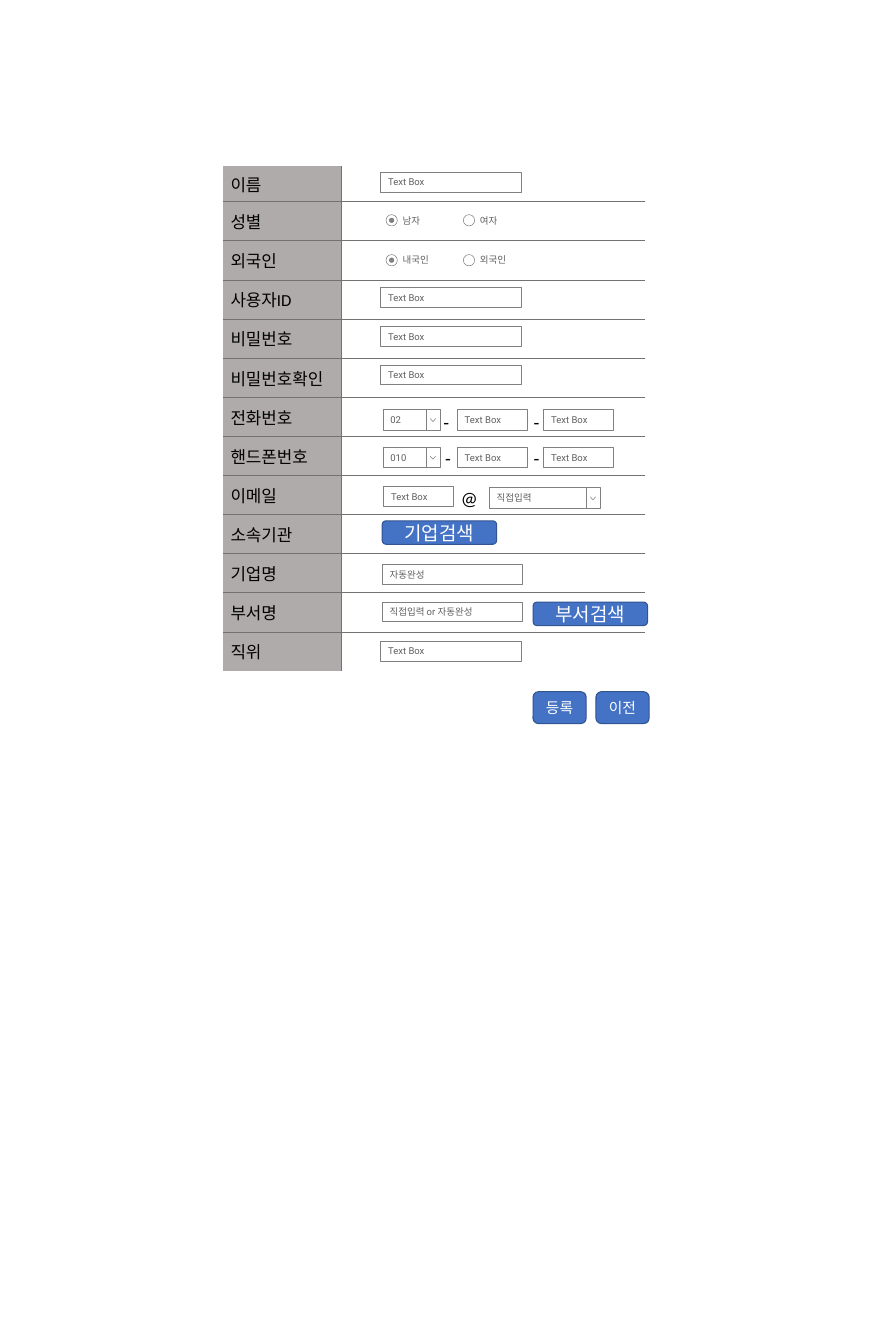
from dataclasses import dataclass

from lxml.etree import SubElement
from pptx import Presentation
from pptx.dml.color import RGBColor
from pptx.enum.shapes import MSO_SHAPE
from pptx.enum.text import MSO_ANCHOR, MSO_AUTO_SIZE, PP_ALIGN
from pptx.oxml.ns import qn
from pptx.util import Inches, Pt

WHITE = RGBColor(0xFF, 0xFF, 0xFF)
BLACK = RGBColor(0x00, 0x00, 0x00)
LABEL_GRAY = RGBColor(0xAF, 0xAB, 0xAB)
RULE_GRAY = RGBColor(0x76, 0x71, 0x71)
OUTLINE_GRAY = RGBColor(0x80, 0x80, 0x80)
INPUT_GRAY = RGBColor(0x5F, 0x5F, 0x5F)
BUTTON_BLUE = RGBColor(0x44, 0x72, 0xC4)
BUTTON_EDGE = RGBColor(0x32, 0x54, 0x91)

LABELS = ["이름", "성별", "외국인", "사용자ID", "비밀번호", "비밀번호확인", "전화번호",
          "핸드폰번호", "이메일", "소속기관", "기업명", "부서명", "직위"]
FIELD_WIDTH, SHORT_WIDTH, FIELD_HEIGHT = 1.85, 0.92, 0.26
ARROW_WIDTH, SELECT_HEIGHT = 0.18, 0.27
BUTTON_WIDTH, BUTTON_HEIGHT = 1.51, 0.31


@dataclass
class Form:
    """Grid of the form: a label column, a control column and one row per label."""
    left: float
    top: float
    label_width: float
    control_width: float
    first_height: float
    row_height: float

    def place(self, row, across, down):
        """Return the point at an offset from the corner of a control cell."""
        row_top = self.first_height + (row - 1) * self.row_height if row else 0
        return self.left + self.label_width + across, self.top + row_top + down


def write(shape, text, size, font, color, align=PP_ALIGN.LEFT):
    """Set one line of formatted text in a shape."""
    paragraph = shape.text_frame.paragraphs[0]
    paragraph.text = text
    paragraph.alignment = align
    for run in paragraph.runs:
        run.font.size, run.font.name = Pt(size), font
        run.font.color.rgb = color


def add_box(shapes, kind, left, top, width, height, fill=WHITE, line=OUTLINE_GRAY, weight=0.5):
    """Add a filled and outlined preset shape."""
    shape = shapes.add_shape(kind, Inches(left), Inches(top), Inches(width), Inches(height))
    paint(shape, fill, line, weight)
    return shape


def paint(shape, fill, line, weight):
    """Give a shape its fill and outline without a shadow."""
    shape.shadow.inherit = False
    shape.fill.solid()
    shape.fill.fore_color.rgb = fill
    shape.line.color.rgb = line
    shape.line.width = Pt(weight)


def add_text(shapes, text, left, top, width, height, size, font, color, insets=(0.1, 0.05)):
    """Add an unwrapped text box."""
    box = shapes.add_textbox(Inches(left), Inches(top), Inches(width), Inches(height))
    frame = box.text_frame
    frame.word_wrap = False
    frame.auto_size = MSO_AUTO_SIZE.SHAPE_TO_FIT_TEXT
    frame.margin_left = frame.margin_right = Inches(insets[0])
    frame.margin_top = frame.margin_bottom = Inches(insets[1])
    write(box, text, size, font, color)


def add_field(shapes, point, text="Text Box", width=FIELD_WIDTH, height=FIELD_HEIGHT):
    """Add an input field with its placeholder wording."""
    field = add_box(shapes, MSO_SHAPE.RECTANGLE, *point, width, height)
    frame = field.text_frame
    frame.word_wrap = True
    frame.vertical_anchor = MSO_ANCHOR.MIDDLE
    frame.margin_top = frame.margin_bottom = Inches(0.06)
    write(field, text, 9, "Roboto", INPUT_GRAY)


def add_radio(slide, point, text, width, selected):
    """Add a radio button with its caption."""
    left, top = point
    shapes = slide.shapes.add_group_shape().shapes
    add_box(shapes, MSO_SHAPE.OVAL, left, top, 0.15, 0.15)
    if selected:
        add_box(shapes, MSO_SHAPE.OVAL, left + 0.045, top + 0.045, 0.06, 0.06, OUTLINE_GRAY)
    add_text(shapes, text, left + 0.14, top - 0.04, width, 0.23, 9, "Roboto", INPUT_GRAY,
             (0.08, 0.04))


def add_select(slide, point, text, width):
    """Add a drop-down list made of a field, a button and a chevron."""
    left, top = point
    shapes = slide.shapes.add_group_shape().shapes
    add_field(shapes, point, text, width, SELECT_HEIGHT)
    button_left = left + width
    add_box(shapes, MSO_SHAPE.RECTANGLE, button_left, top, ARROW_WIDTH, SELECT_HEIGHT)
    middle, upper = button_left + ARROW_WIDTH / 2, top + 0.12
    builder = shapes.build_freeform(Inches(middle + 0.035), Inches(upper))
    builder.add_line_segments([(Inches(middle), Inches(upper + 0.04)),
                               (Inches(middle - 0.035), Inches(upper))], close=False)
    paint(builder.convert_to_shape(), WHITE, OUTLINE_GRAY, 0.5)


def add_button(slide, point, text, width=BUTTON_WIDTH, height=BUTTON_HEIGHT, size=18):
    """Add a blue rounded button."""
    button = add_box(slide.shapes, MSO_SHAPE.ROUNDED_RECTANGLE, *point, width, height,
                     BUTTON_BLUE, BUTTON_EDGE, 1)
    button.text_frame.vertical_anchor = MSO_ANCHOR.MIDDLE
    write(button, text, size, "Calibri", WHITE, PP_ALIGN.CENTER)


def set_borders(cell, sides):
    """Rule the named sides of a cell and clear the others."""
    properties = cell._tc.get_or_add_tcPr()
    for index, side in enumerate("LRTB"):
        line = SubElement(properties, qn("a:ln" + side), w=str(Pt(1)))
        if side in sides:
            color = SubElement(SubElement(line, qn("a:solidFill")), qn("a:srgbClr"))
            color.set("val", str(RULE_GRAY))
        else:
            SubElement(line, qn("a:noFill"))
        properties.insert(index, line)


def build_label_table(slide, form):
    """Build the ruled table with the label column."""
    height = form.first_height + form.row_height * (len(LABELS) - 1)
    frame = slide.shapes.add_table(len(LABELS), 2, Inches(form.left), Inches(form.top),
                                   Inches(form.label_width + form.control_width), Inches(height))
    table = frame.table
    table.first_row = table.horz_banding = False
    table.columns[0].width = Inches(form.label_width)
    table.columns[1].width = Inches(form.control_width)
    for row, label in enumerate(LABELS):
        table.rows[row].height = Inches(form.row_height if row else form.first_height)
        name, control = table.cell(row, 0), table.cell(row, 1)
        name.fill.solid()
        name.fill.fore_color.rgb = LABEL_GRAY
        control.fill.background()
        name.vertical_anchor = MSO_ANCHOR.MIDDLE
        write(name, label, 16, "Calibri", BLACK)
        rules = ("T" if row else "") + ("B" if row < len(LABELS) - 1 else "")
        set_borders(name, "R" + rules)
        set_borders(control, "L" + rules)


def build_personal_rows(slide, form):
    """Place the plain fields and the radio choices."""
    for row, down in ((0, 0.08), (3, 0.1), (4, 0.1), (5, 0.09), (12, 0.12)):
        add_field(slide.shapes, form.place(row, 0.52, down))
    for row, options, width in ((1, ("남자", "여자"), 0.41), (2, ("내국인", "외국인"), 0.54)):
        for column, option in enumerate(options):
            point = form.place(row, 0.59 + 1.02 * column, 0.17 + 0.01 * (row - 1))
            add_radio(slide, point, option, width, column == 0)


def build_contact_rows(slide, form):
    """Place the two phone rows and the e-mail row."""
    for row, prefix, down, dash_down, first_dash in ((6, "02", 0.16, 0.13, 1.25),
                                                     (7, "010", 0.14, 0.08, 1.27)):
        add_select(slide, form.place(row, 0.55, down), prefix, 0.57)
        for across in (1.53, 2.67):
            add_field(slide.shapes, form.place(row, across, down), width=SHORT_WIDTH,
                      height=SELECT_HEIGHT)
        for across in (first_dash, 2.44):
            add_text(slide.shapes, "-", *form.place(row, across, dash_down), 0.28, 0.4,
                     18, "Calibri", BLACK)
    add_field(slide.shapes, form.place(8, 0.56, 0.14), width=SHORT_WIDTH, height=SELECT_HEIGHT)
    add_text(slide.shapes, "@", *form.place(8, 1.48, 0.09), 0.43, 0.4, 18, "Calibri", BLACK)
    add_select(slide, form.place(8, 1.95, 0.16), "직접입력", 1.28)


def build_company_rows(slide, form):
    """Place the company search, the department search and the closing buttons."""
    add_button(slide, form.place(9, 0.54, 0.08), "기업검색")
    add_field(slide.shapes, form.place(10, 0.54, 0.14), "자동완성")
    add_field(slide.shapes, form.place(11, 0.54, 0.12), "직접입력 or 자동완성")
    add_button(slide, form.place(11, 2.53, 0.12), "부서검색")
    for column, text in enumerate(("등록", "이전")):
        add_button(slide, form.place(len(LABELS), 2.53 + 0.83 * column, 0.27), text, 0.7, 0.42, 14)


def main():
    """Build the registration form slide."""
    presentation = Presentation()
    presentation.slide_width, presentation.slide_height = Inches(11.46), Inches(17.72)
    slide = presentation.slides.add_slide(presentation.slide_layouts[6])
    form = Form(2.94, 2.19, 1.56, 4.01, 0.47, 6.19 / 12)
    for build in (build_label_table, build_personal_rows, build_contact_rows, build_company_rows):
        build(slide, form)
    presentation.save("out.pptx")


if __name__ == "__main__":
    main()
